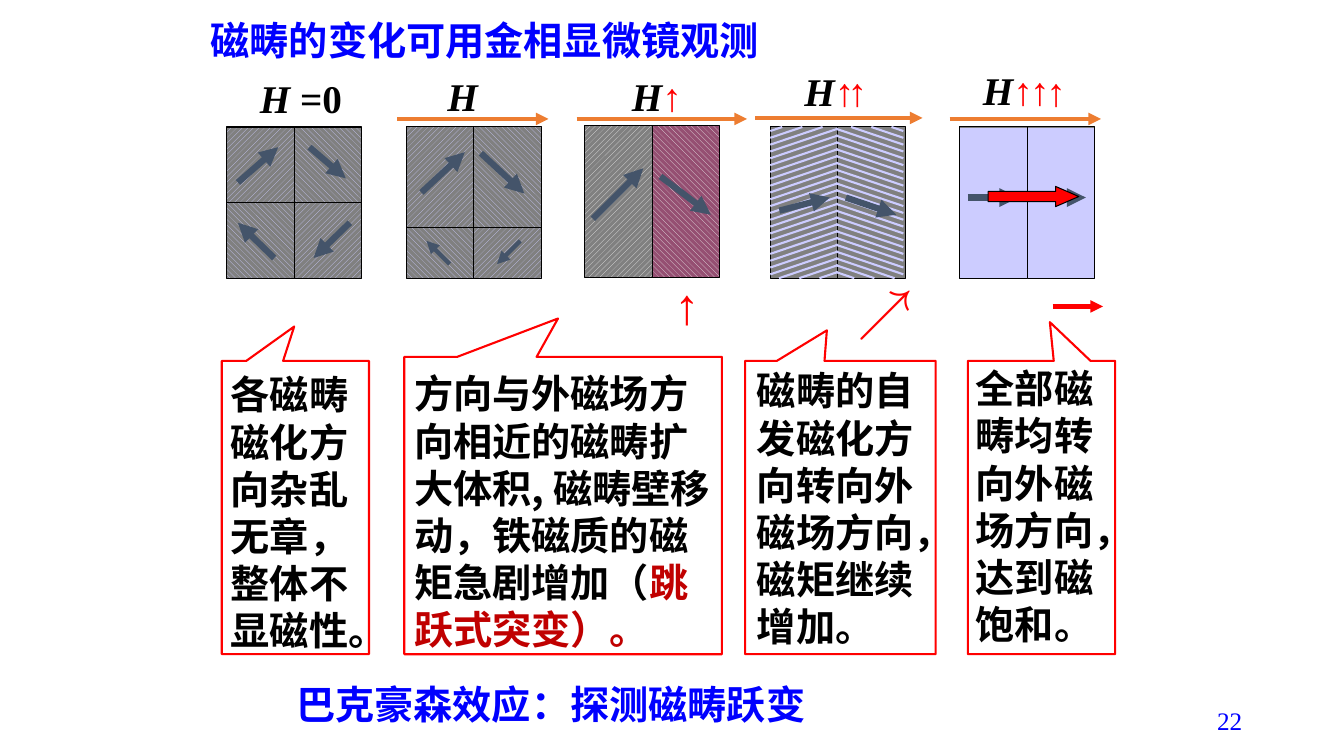
from lxml import etree
from pptx import Presentation
from pptx.dml.color import RGBColor
from pptx.enum.dml import MSO_PATTERN
from pptx.enum.shapes import MSO_CONNECTOR, MSO_SHAPE
from pptx.enum.text import MSO_ANCHOR, PP_ALIGN
from pptx.oxml.ns import qn
from pptx.util import Inches, Pt

UP, DOWN = MSO_PATTERN.WIDE_UPWARD_DIAGONAL, MSO_PATTERN.WIDE_DOWNWARD_DIAGONAL
HORIZONTAL = MSO_PATTERN.DARK_HORIZONTAL
RECT, CALLOUT = MSO_SHAPE.RECTANGLE, MSO_SHAPE.RECTANGULAR_CALLOUT
RIGHT_ARROW, STRAIGHT = MSO_SHAPE.RIGHT_ARROW, MSO_CONNECTOR.STRAIGHT
TOP, MIDDLE = MSO_ANCHOR.TOP, MSO_ANCHOR.MIDDLE
LEFT, RIGHT = PP_ALIGN.LEFT, PP_ALIGN.RIGHT

BLACK, WHITE = RGBColor(0, 0, 0), RGBColor(255, 255, 255)
BLUE, RED = RGBColor(0, 0, 255), RGBColor(255, 0, 0)
DARK_RED = RGBColor(0xC0, 0, 0)
GREY, PALE = RGBColor(0x80, 0x80, 0x80), RGBColor(0xEA, 0xEA, 0xEA)
LILAC, PLUM = RGBColor(0xCC, 0xCC, 0xFF), RGBColor(0x95, 0x4F, 0x72)
SLATE, ORANGE = RGBColor(0x44, 0x54, 0x6A), RGBColor(0xED, 0x7D, 0x31)
SERIF, SANS = "Times New Roman", "Noto Sans CJK SC"

DOMAIN_W, DOMAIN_H, DOMAIN_TOP = 0.67, 1.5, 1.26


def add_run(paragraph, text, size=28, font=SERIF, color=BLACK, bold=True, italic=False):
    run = paragraph.add_run()
    run.text = text
    run.font.size, run.font.name = Pt(size), font
    run.font.bold, run.font.italic = bold, italic
    run.font.color.rgb = color
    if font == SANS:
        etree.SubElement(run.font._element, qn("a:ea"), typeface=SANS)


class DomainSlide:
    def __init__(self, slide):
        self.shapes = slide.shapes

    def shape(self, kind, box, fill, line=BLACK, width=0.75, pattern=None, adjust=()):
        shape = self.shapes.add_shape(kind, *map(Inches, box))
        shape.shadow.inherit = False
        for i, value in enumerate(adjust):
            shape.adjustments[i] = value
        if pattern is None:
            shape.fill.solid()
            shape.fill.fore_color.rgb = fill
        else:
            shape.fill.patterned()
            shape.fill.pattern = pattern
            shape.fill.fore_color.rgb, shape.fill.back_color.rgb = fill
        shape.line.color.rgb, shape.line.width = line, Pt(width)

    def line(self, ends, color=SLATE, width=4.5, arrow=True):
        line = self.shapes.add_connector(STRAIGHT, *map(Inches, ends))
        line.line.color.rgb, line.line.width = color, Pt(width)
        if arrow:
            etree.SubElement(line.line._get_or_add_ln(), qn("a:tailEnd"), type="triangle")
        etree.SubElement(line._element.spPr, qn("a:effectLst"))

    def text(self, box, paragraphs, wrap=True, align=LEFT, anchor=TOP, spacing=None):
        """Each paragraph is a list of (text, format) pairs."""
        frame = self.shapes.add_textbox(*map(Inches, box)).text_frame
        frame.word_wrap, frame.vertical_anchor = wrap, anchor
        for i, runs in enumerate(paragraphs):
            paragraph = frame.add_paragraph() if i else frame.paragraphs[0]
            paragraph.alignment = align
            if spacing:
                paragraph.line_spacing = spacing
            for content, style in runs:
                add_run(paragraph, content, **style)

    def domains(self, left, heights, cells, top=DOMAIN_TOP):
        """Two columns of domains; cells holds (pattern, fill) row by row."""
        for i, (pattern, fill) in enumerate(cells):
            row, column = divmod(i, 2)
            box = (left + column * DOMAIN_W, top + sum(heights[:row]), DOMAIN_W, heights[row])
            self.shape(RECT, box, fill, pattern=pattern)

    def chevron_hatch(self, left, axis):
        """Parallel strokes clipped to a domain, then mirrored about the axis."""
        slope, pitch, bottom = 0.338, 0.0677, DOMAIN_TOP + DOMAIN_H
        for mirrored in (False, True):
            for i in range(25):
                y = 1.3 + i * pitch
                start = max(0, (y - bottom) / slope)
                end = min(DOMAIN_W, (y - DOMAIN_TOP) / slope)
                x1, x2 = left + start, left + end
                if mirrored:
                    x1, x2 = 2 * axis - x1, 2 * axis - x2
                self.line((x1, y - start * slope, x2, y - end * slope), LILAC, 1.5, False)

    def explanation(self, callout, pointer, box, paragraphs):
        self.shape(CALLOUT, callout, WHITE, RED, 1.5, adjust=pointer)
        self.text(box, paragraphs, spacing=Pt(33.6))


def main():
    prs = Presentation()
    prs.slide_width, prs.slide_height = Inches(13.33), Inches(7.5)
    page = DomainSlide(prs.slides.add_slide(prs.slide_layouts[6]))
    field, rise, heading = dict(italic=True), dict(color=RED), dict(color=BLUE)
    body, jump = dict(font=SANS), dict(font=SANS, color=DARK_RED)

    # Title
    page.text((1.99, 0.11, 8.05, 0.57), [[("磁畴的变化可用金相显微镜观测", heading)]])

    # Domain patterns for each field strength
    hatch = (LILAC, GREY)
    four = [(UP, hatch), (DOWN, hatch), (DOWN, hatch), (UP, hatch)]
    page.domains(2.25, (0.75, 0.75), four)
    page.domains(4.03, (1, 0.5), four)
    page.domains(5.8, (DOMAIN_H,), [(UP, (PALE, GREY)), (DOWN, (PALE, PLUM))], top=1.25)
    page.domains(7.64, (DOMAIN_H,), [(None, GREY)] * 2)
    page.chevron_hatch(7.64, axis=8.3)
    page.domains(9.52, (DOMAIN_H,), [(HORIZONTAL, hatch)] * 2)

    # Magnetisation of each domain
    for moment in (
        (2.36, 1.81, 2.76, 1.46), (3.07, 1.46, 3.43, 1.77),
        (2.72, 2.56, 2.36, 2.21), (3.47, 2.21, 3.11, 2.56),
        (4.18, 1.91, 4.61, 1.51), (4.77, 1.52, 5.2, 1.92),
        (5.88, 2.17, 6.38, 1.67), (6.55, 1.75, 7.05, 2.13),
        (7.73, 2.09, 8.23, 1.96), (8.39, 1.96, 8.89, 2.13),
        (9.6, 1.96, 10.1, 1.96), (10.27, 1.96, 10.77, 1.96),
    ):
        page.line(moment)
    for small_moment in ((4.46, 2.62, 4.23, 2.39), (5.16, 2.39, 4.93, 2.62)):
        page.line(small_moment, width=3)
    page.shape(RIGHT_ARROW, (9.8, 1.85, 0.9, 0.2), RED, adjust=(0.5, 1.148))

    # Applied field arrows and labels
    for start, end, y in ((3.94, 5.44, 1.18), (5.72, 7.41, 1.18),
                          (7.49, 9.15, 1.17), (9.42, 10.92, 1.18)):
        page.line((start, y, end, y), ORANGE, 3)
    page.text((2.48, 0.69, 1.74, 0.57), [[("H", field), (" =0", {})]])
    page.text((4.34, 0.67, 0.5, 0.57), [[("H", field)]], wrap=False)
    for x, y in ((6.17, 0.67), (7.88, 0.62), (9.65, 0.61)):
        page.text((x, y, 0.7, 0.57), [[("H", field), ("↑", rise)]], wrap=False)
    for x, y in ((8.31, 0.62), (10.12, 0.61), (10.28, 0.62)):
        page.text((x, y, 0.4, 0.57), [[("↑", rise)]], wrap=False)

    # Net magnetisation under the patterns
    page.text((6.59, 2.67, 0.46, 0.71), [[("↑", dict(size=36, color=RED))]], wrap=False)
    page.text((8.41, 2.68, 0.76, 0.77), [[("↗", dict(size=40, color=RED))]])
    page.line((10.44, 3.04, 10.94, 3.04), RED, 3)

    # Explanations
    page.explanation((4.01, 3.54, 3.15, 2.95), (-0.016, -0.629), (4.01, 3.62, 3.16, 2.93), [[
        ("方向与外磁场方向相近的磁畴扩大体积, 磁畴壁移动，铁磁质的磁矩急剧增加（", body),
        ("跳跃式突变）。", jump)]])
    for callout, pointer, box, lines in (
        ((7.39, 3.58, 1.89, 2.91), (-0.071, -0.604), (7.41, 3.59, 2.2, 2.9),
         ("磁畴的自", "发磁化方", "向转向外", "磁场方向，", "磁矩继续", "增加。")),
        ((9.6, 3.58, 1.46, 2.91), (0.057, -0.632), (9.58, 3.57, 1.89, 2.9),
         ("全部磁", "畴均转", "向外磁", "场方向，", "达到磁", "饱和。")),
        ((2.2, 3.58, 1.46, 2.91), (-0.008, -0.617), (2.19, 3.63, 1.85, 2.9),
         ("各磁畴", "磁化方", "向杂乱", "无章，", "整体不", "显磁性。")),
    ):
        page.explanation(callout, pointer, box, [[(line, body)] for line in lines])

    # Conclusion and page number
    page.text((2.84, 6.7, 5.36, 0.57), [[("巴克豪森效应：探测磁畴跃变", heading)]])
    page.text((9.42, 6.95, 3, 0.4), [[("22", dict(size=18, color=BLUE, bold=False))]],
              align=RIGHT, anchor=MIDDLE)
    prs.save("out.pptx")


if __name__ == "__main__":
    main()
